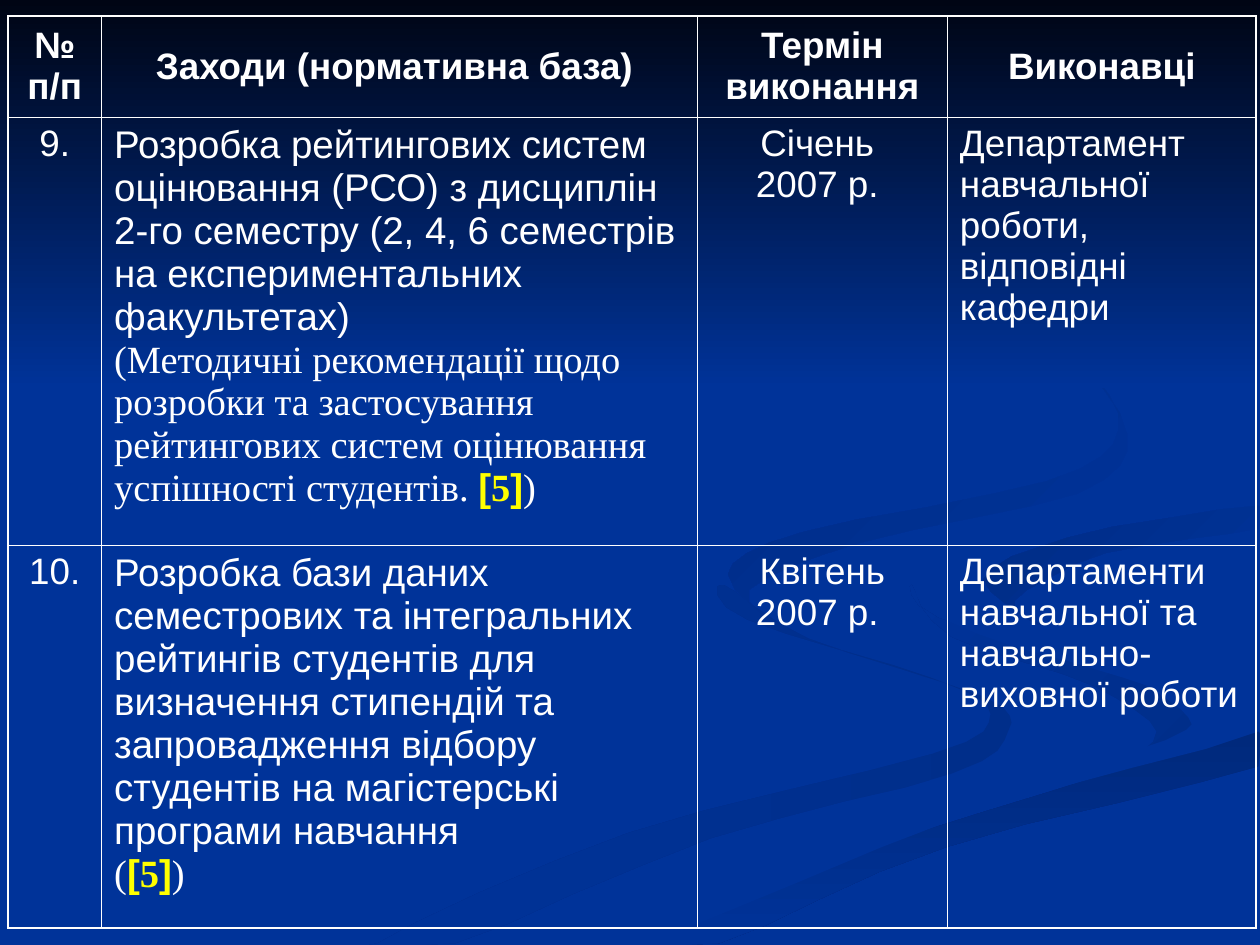
"""Builds a slide with a table of planned measures, deadlines and executors over a ribbon backdrop."""
from dataclasses import dataclass

import pptx
import pptx.dml.color
import pptx.enum.text
import pptx.oxml
import pptx.oxml.ns
import pptx.util

Pt = pptx.util.Pt
ALIGN = pptx.enum.text.PP_ALIGN
ANCHOR = pptx.enum.text.MSO_ANCHOR


@dataclass(frozen=True)
class Theme:
    blue: str = "003399"
    night: str = "000514"
    shade: str = "002E8A"
    deep_shade: str = "00297C"
    soft_shade: str = "002C85"
    white: str = "FFFFFF"
    yellow: str = "FFFF00"
    sans: str = "Arial"
    serif: str = "Times New Roman"
    body: float = 21
    measure: float = 22
    outer_line: float = 1.08
    inner_line: float = 0.45


THEME = Theme()
SLIDE_WIDTH, SLIDE_HEIGHT = 720, 540
CURVE_STEPS = 4

RIBBONS = [
    ((THEME.shade, THEME.blue, 180), [
        (562, 398), (462, 365), (413, 334), (427, 354), (534, 388), (566, 408), (532, 431),
        (359, 476), (216, 539), (260, 539), (406, 479), (544, 442), (576, 418)]),
    ((THEME.shade, THEME.blue, 225), [
        (679, 410), (639, 385), (536, 353), (521, 334), (544, 364), (625, 392), (661, 418),
        (644, 436), (671, 424)]),
    ((THEME.deep_shade, THEME.blue, 90), [
        (362, 539), (411, 539), (541, 484), (719, 438), (719, 418), (598, 453), (454, 499)]),
    ((THEME.blue, THEME.blue, 0), [
        (522, 334), (558, 362), (662, 394), (678, 417), (585, 450), (343, 539), (374, 538),
        (551, 466), (719, 418), (719, 387), (599, 359), (562, 333), (612, 307), (719, 289),
        (719, 279), (567, 304)]),
    ((THEME.blue, THEME.soft_shade, 225), [
        (562, 331), (595, 357), (580, 343), (632, 316), (719, 302), (719, 289), (611, 307)]),
    ((THEME.blue, THEME.soft_shade, 225), [
        (492, 310), (616, 282), (644, 248), (607, 198), (549, 168), (616, 205), (639, 246),
        (598, 275), (459, 304), (416, 328), (448, 360), (428, 337)]),
]
NIGHT_HEIGHT = 222

COLUMN_WIDTHS = (53.6, 340.4, 142.9, 176.4)
ROW_HEIGHTS = (57.8, 244.6, 218.6)
HEADINGS = ("№ п/п", "Заходи (нормативна база) ", "Термін виконання", "Виконавці")
MEASURES = [
    ("9.",
     "Розробка рейтингових систем оцінювання (РСО) з дисциплін 2-го семестру "
     "(2, 4, 6 семестрів на експериментальних факультетах) ",
     "(Методичні рекомендації щодо розробки та застосування рейтингових систем "
     "оцінювання успішності студентів. ",
     "Січень \v2007 р. ",
     "Департамент навчальної роботи, відповідні кафедри"),
    ("10.",
     "Розробка бази даних семестрових та інтегральних рейтингів студентів для визначення "
     "стипендій та запровадження відбору студентів на магістерські програми навчання ",
     "(",
     "Квітень\v2007 р. ",
     "Департаменти навчальної та навчально-виховної роботи"),
]


def rgb(colour):
    return pptx.dml.color.RGBColor.from_string(colour)


def spline(a, b, c, d, t):
    return b + t * (c - a + t * (2 * a - 5 * b + 4 * c - d + t * (3 * (b - c) + d - a))) / 2


def smooth_loop(knots):
    curve = []
    for i in range(len(knots)):
        xs, ys = zip(*(knots[(i + k) % len(knots)] for k in (-1, 0, 1, 2)))
        for step in range(CURVE_STEPS):
            t = step / CURVE_STEPS
            curve.append((min(spline(*xs, t), SLIDE_WIDTH), min(spline(*ys, t), SLIDE_HEIGHT)))
    return curve


def draw_outline(slide, shading, points):
    start, end, angle = shading
    builder = slide.shapes.build_freeform(*points[0], scale=Pt(1))
    builder.add_line_segments(points[1:], close=True)
    outline = builder.convert_to_shape()
    outline.shadow.inherit = False
    outline.line.fill.background()
    if start == end:
        outline.fill.solid()
        outline.fill.fore_color.rgb = rgb(start)
        return
    outline.fill.gradient()
    outline.fill.gradient_angle = (360 - angle) % 360
    for stop, colour, position in zip(outline.fill.gradient_stops, (start, end), (0, 1)):
        stop.color.rgb = rgb(colour)
        stop.position = position


def style_run(run, size=THEME.body, font=THEME.sans, colour=THEME.white, bold=False):
    run.font.size = Pt(size)
    run.font.name = font
    run.font.color.rgb = rgb(colour)
    run.font.bold = bold


def write_plain(cell, text, align, bold=False):
    paragraph = cell.text_frame.paragraphs[0]
    paragraph.text = text
    paragraph.alignment = align
    for run in paragraph.runs:
        style_run(run, bold=bold)


def write_measure(cell, measure, basis):
    paragraph = cell.text_frame.paragraphs[0]
    paragraph.text = measure + "\v" + basis
    paragraph.alignment = ALIGN.LEFT
    for run, font in zip(paragraph.runs, (THEME.sans, THEME.serif)):
        style_run(run, THEME.measure, font)
    reference = (("[", THEME.sans), ("5", THEME.serif), ("]", THEME.sans))
    for mark, font in reference:
        run = paragraph.add_run()
        run.text = mark
        style_run(run, THEME.measure, font, THEME.yellow, True)
    closing = paragraph.add_run()
    closing.text = ")"
    style_run(closing, THEME.measure, THEME.serif)


def rule_cell(cell, outer_sides):
    properties = cell._tc.get_or_add_tcPr()
    for side, is_outer in outer_sides.items():
        width = Pt(THEME.outer_line if is_outer else THEME.inner_line)
        properties.append(pptx.oxml.parse_xml(
            f'<a:ln{side} {pptx.oxml.ns.nsdecls("a")} w="{width}"><a:solidFill>'
            f'<a:srgbClr val="{THEME.white}"/></a:solidFill></a:ln{side}>'))
    cell.fill.background()


def add_plan(slide):
    row_count, column_count = len(ROW_HEIGHTS), len(COLUMN_WIDTHS)
    plan = slide.shapes.add_table(row_count, column_count, Pt(4.5), Pt(9.2),
                                  Pt(sum(COLUMN_WIDTHS)), Pt(sum(ROW_HEIGHTS))).table
    plan.first_row = plan.horz_banding = False
    for column, width in zip(plan.columns, COLUMN_WIDTHS):
        column.width = Pt(width)
    for row, height in zip(plan.rows, ROW_HEIGHTS):
        row.height = Pt(height)
    for r in range(row_count):
        for c in range(column_count):
            rule_cell(plan.cell(r, c), {"L": c == 0, "R": c == column_count - 1,
                                        "T": r == 0, "B": r == row_count - 1})
    for c, heading in enumerate(HEADINGS):
        plan.cell(0, c).vertical_anchor = ANCHOR.MIDDLE
        write_plain(plan.cell(0, c), heading, ALIGN.CENTER, bold=True)
    for r, (number, measure, basis, deadline, executors) in enumerate(MEASURES, start=1):
        write_plain(plan.cell(r, 0), number, ALIGN.CENTER)
        write_measure(plan.cell(r, 1), measure, basis)
        write_plain(plan.cell(r, 2), deadline, ALIGN.CENTER)
        write_plain(plan.cell(r, 3), executors, ALIGN.LEFT)


def main():
    deck = pptx.Presentation()
    deck.slide_width, deck.slide_height = Pt(SLIDE_WIDTH), Pt(SLIDE_HEIGHT)
    slide = deck.slides.add_slide(deck.slide_layouts[6])
    slide.background.fill.solid()
    slide.background.fill.fore_color.rgb = rgb(THEME.blue)
    for shading, knots in RIBBONS:
        draw_outline(slide, shading, smooth_loop(knots))
    night_corners = [(0, 0), (0, NIGHT_HEIGHT), (SLIDE_WIDTH, NIGHT_HEIGHT), (SLIDE_WIDTH, 0)]
    draw_outline(slide, (THEME.night, THEME.blue, 90), night_corners)
    add_plan(slide)
    deck.save("out.pptx")


if __name__ == "__main__":
    main()
